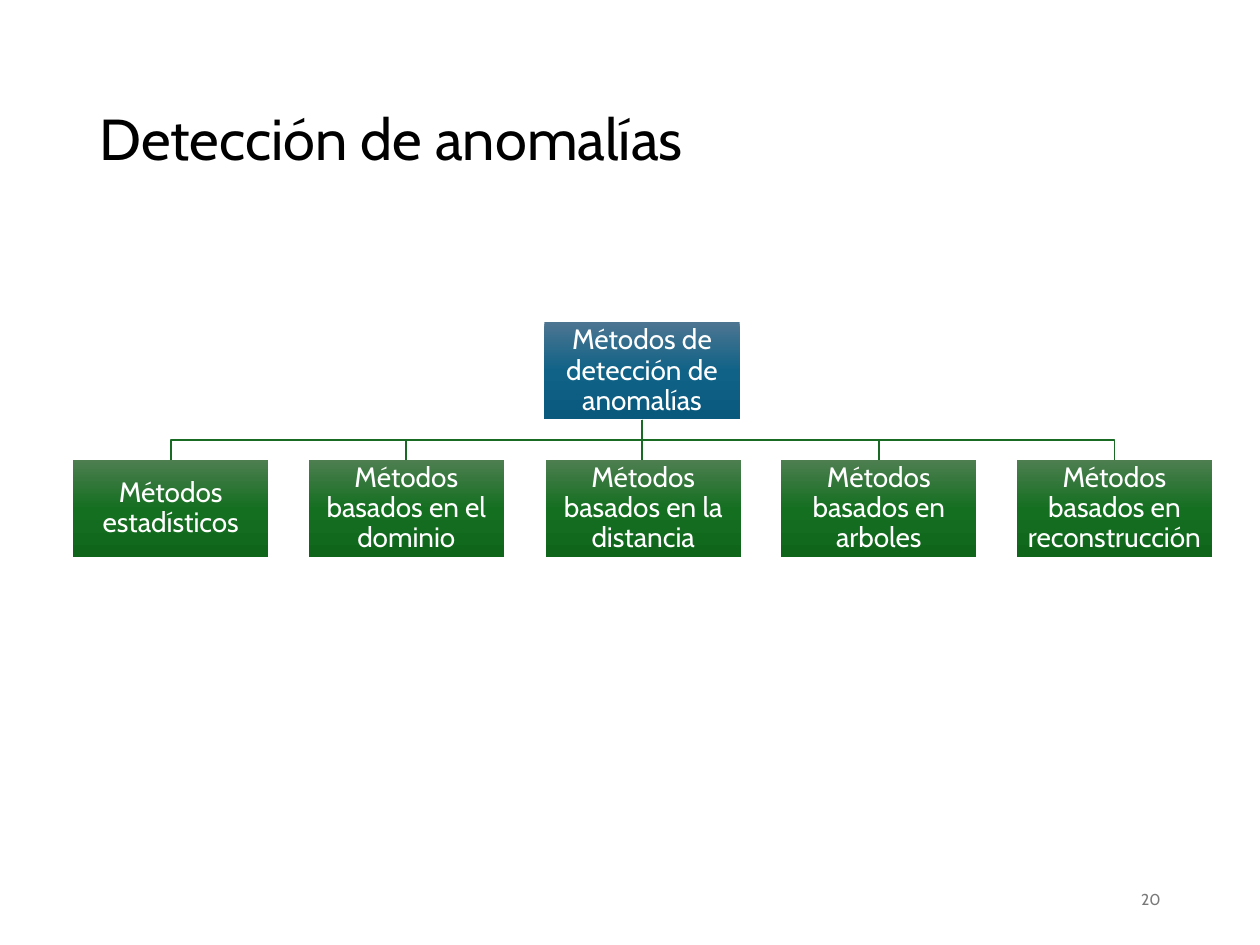
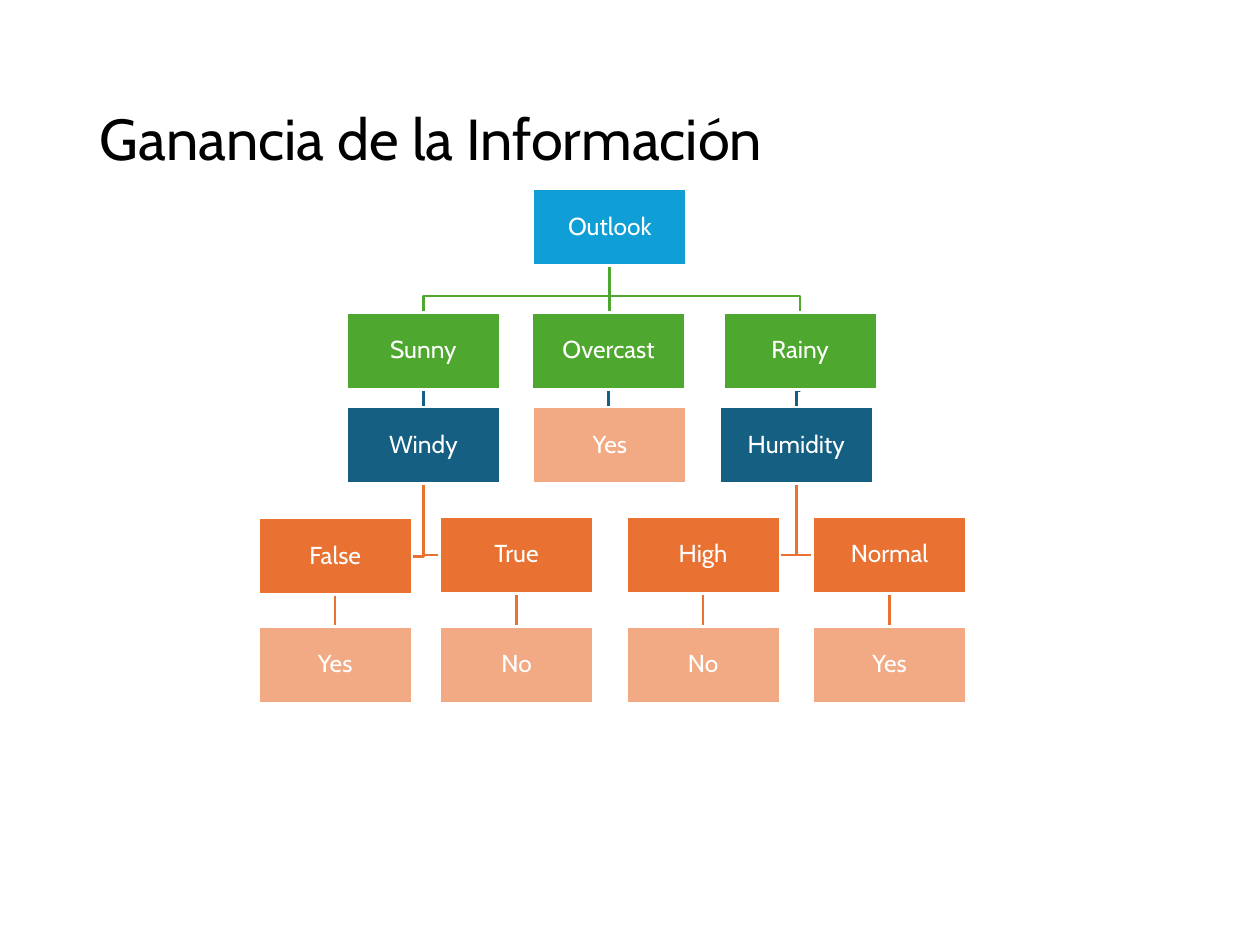
from collections.abc import Iterator
from copy import deepcopy
from dataclasses import dataclass

from lxml import etree
from pptx import Presentation
from pptx.dml.color import RGBColor
from pptx.enum.shapes import MSO_CONNECTOR, MSO_SHAPE
from pptx.enum.text import MSO_ANCHOR, MSO_AUTO_SIZE, PP_ALIGN
from pptx.oxml.ns import qn
from pptx.shapes.autoshape import Shape
from pptx.slide import Slide
from pptx.text.text import TextFrame
from pptx.util import Inches, Pt

STRAIGHT = MSO_CONNECTOR.STRAIGHT
RECTANGLE = MSO_SHAPE.RECTANGLE
MIDDLE = MSO_ANCHOR.MIDDLE
NO_AUTOFIT = MSO_AUTO_SIZE.NONE
LEFT, CENTER, RIGHT = PP_ALIGN.LEFT, PP_ALIGN.CENTER, PP_ALIGN.RIGHT

FONT = "Cabin"
BLACK = RGBColor(0x00, 0x00, 0x00)
WHITE = RGBColor(0xFF, 0xFF, 0xFF)
GRAY = RGBColor(0x79, 0x79, 0x79)
SKY = RGBColor(0x0F, 0x9E, 0xD5)
GREEN = RGBColor(0x4E, 0xA7, 0x2E)
TEAL = RGBColor(0x15, 0x60, 0x82)
ORANGE = RGBColor(0xE9, 0x71, 0x32)
PEACH = RGBColor(0xF2, 0xAA, 0x84)
DARK_GREEN = RGBColor(0x19, 0x6B, 0x24)
BLUE_GRADIENT = (
    RGBColor(0x4C, 0x75, 0x91),
    RGBColor(0x10, 0x62, 0x87),
    RGBColor(0x09, 0x59, 0x7D),
)
GREEN_GRADIENT = (
    RGBColor(0x4D, 0x7E, 0x50),
    RGBColor(0x15, 0x6F, 0x21),
    RGBColor(0x0F, 0x66, 0x1B),
)

TITLE_ONLY_LAYOUT = 5
STRAIGHT_TOLERANCE = 0.02

Fill = RGBColor | tuple[RGBColor, ...]
Point = tuple[float, float]


@dataclass(frozen=True)
class TreeStyle:
    box_width: float
    box_height: float
    font_size: float
    line_width: float
    bend_above_child: float
    border: RGBColor | None = None


@dataclass(frozen=True)
class Node:
    label: str
    left: float
    top: float
    fill: Fill
    link_color: RGBColor = ORANGE
    children: tuple["Node", ...] = ()
    side_links: bool = False


METHODS_STYLE = TreeStyle(1.55, 0.77, 16, 1, 0.16)
WEATHER_STYLE = TreeStyle(1.22, 0.61, 14, 1.5, 0.13, WHITE)

METHOD_LABELS = (
    "Métodos estadísticos",
    "Métodos basados en el dominio",
    "Métodos basados en la distancia",
    "Métodos basados en arboles",
    "Métodos basados en reconstrucción",
)
METHODS_LEFT, METHODS_STEP, METHODS_TOP = 0.58, 1.873, 3.65

METHODS_TREE = Node(
    "Métodos de detección de anomalías", 4.32, 2.56, BLUE_GRADIENT, DARK_GREEN,
    tuple(
        Node(label, round(METHODS_LEFT + index * METHODS_STEP, 2), METHODS_TOP, GREEN_GRADIENT)
        for index, label in enumerate(METHOD_LABELS)
    ),
)


def tested_value(label: str, left: float, answer: str, top: float = 4.1) -> Node:
    return Node(label, left, top, ORANGE, children=(Node(answer, left, 4.97, PEACH),))


WINDY = Node(
    "Windy", 2.75, 3.23, TEAL, side_links=True,
    children=(tested_value("False", 2.05, "Yes", 4.11), tested_value("True", 3.49, "No")),
)
HUMIDITY = Node(
    "Humidity", 5.71, 3.23, TEAL, side_links=True,
    children=(tested_value("High", 4.97, "No"), tested_value("Normal", 6.45, "Yes")),
)
WEATHER_TREE = Node(
    "Outlook", 4.23, 1.5, SKY, GREEN,
    (
        Node("Sunny", 2.75, 2.48, GREEN, TEAL, (WINDY,)),
        Node("Overcast", 4.22, 2.48, GREEN, TEAL, (Node("Yes", 4.23, 3.23, PEACH),)),
        Node("Rainy", 5.74, 2.48, GREEN, TEAL, (HUMIDITY,)),
    ),
)


def format_text(
    text_frame: TextFrame, text: str, size: float, color: RGBColor, alignment: PP_ALIGN
) -> None:
    text_frame.text = text
    text_frame.word_wrap = True
    text_frame.auto_size = NO_AUTOFIT
    text_frame.vertical_anchor = MIDDLE
    paragraph = text_frame.paragraphs[0]
    paragraph.alignment = alignment
    paragraph.line_spacing = 0.9
    for run in paragraph.runs:
        run.font.name = FONT
        run.font.size = Pt(size)
        run.font.color.rgb = color


def add_titled_slide(presentation: Presentation, title_text: str) -> Slide:
    slide = presentation.slides.add_slide(presentation.slide_layouts[TITLE_ONLY_LAYOUT])
    title = slide.shapes.title
    title.left, title.top = Inches(0.69), Inches(0.4)
    title.width, title.height = Inches(8.62), Inches(1.45)
    format_text(title.text_frame, title_text, 33, BLACK, LEFT)
    return slide


def add_page_number(slide: Slide, number: str) -> None:
    text_box = slide.shapes.add_textbox(Inches(7.06), Inches(6.95), Inches(2.25), Inches(0.4))
    format_text(text_box.text_frame, number, 9, GRAY, RIGHT)


def paint(shape: Shape, fill: Fill) -> None:
    if isinstance(fill, RGBColor):
        shape.fill.solid()
        shape.fill.fore_color.rgb = fill
        return
    shape.fill.gradient()
    shape.fill.gradient_angle = 270
    stop_list = shape.element.spPr.find(qn("a:gradFill")).find(qn("a:gsLst"))
    stop_list.insert(1, deepcopy(stop_list[0]))
    for index, (stop, color) in enumerate(zip(shape.fill.gradient_stops, fill)):
        stop.color.rgb = color
        stop.position = index / (len(fill) - 1)


def add_box(slide: Slide, node: Node, style: TreeStyle) -> None:
    box = slide.shapes.add_shape(
        RECTANGLE, Inches(node.left), Inches(node.top),
        Inches(style.box_width), Inches(style.box_height),
    )
    box.shadow.inherit = False
    paint(box, node.fill)
    if style.border is None:
        box.line.fill.background()
    else:
        box.line.color.rgb = style.border
        box.line.width = Pt(style.line_width)
    text_frame = box.text_frame
    text_frame.margin_left = text_frame.margin_right = Inches(0.01)
    text_frame.margin_top = text_frame.margin_bottom = Inches(0.01)
    format_text(text_frame, node.label, style.font_size, WHITE, CENTER)


def link_points(parent: Node, child: Node, style: TreeStyle) -> list[Point]:
    start_x = parent.left + style.box_width / 2
    start_y = parent.top + style.box_height
    end_x = child.left + style.box_width / 2
    if parent.side_links:
        side_x = child.left if end_x > start_x else child.left + style.box_width
        side_y = child.top + style.box_height / 2
        return [(start_x, start_y), (start_x, side_y), (side_x, side_y)]
    if abs(end_x - start_x) < STRAIGHT_TOLERANCE:
        return [(start_x, start_y), (start_x, child.top)]
    bend_y = child.top - style.bend_above_child
    return [(start_x, start_y), (start_x, bend_y), (end_x, bend_y), (end_x, child.top)]


def add_link(slide: Slide, parent: Node, child: Node, style: TreeStyle) -> None:
    points = [(Inches(x), Inches(y)) for x, y in link_points(parent, child, style)]
    if len(points) == 2:
        link = slide.shapes.add_connector(STRAIGHT, *points[0], *points[1])
        etree.SubElement(link.element.spPr, qn("a:effectLst"))
    else:
        builder = slide.shapes.build_freeform(*points[0])
        builder.add_line_segments(points[1:], close=False)
        link = builder.convert_to_shape()
        link.fill.background()
        link.shadow.inherit = False
    link.line.color.rgb = parent.link_color
    link.line.width = Pt(style.line_width)


def walk(node: Node) -> Iterator[Node]:
    yield node
    for child in node.children:
        yield from walk(child)


def add_tree(slide: Slide, root: Node, style: TreeStyle) -> None:
    nodes = list(walk(root))
    for parent in nodes:
        for child in parent.children:
            add_link(slide, parent, child, style)
    for node in nodes:
        add_box(slide, node, style)


def main() -> None:
    presentation = Presentation()
    presentation.slide_width = Inches(10)
    presentation.slide_height = Inches(7.5)

    methods_slide = add_titled_slide(presentation, "Detección de anomalías")
    add_page_number(methods_slide, "20")
    add_tree(methods_slide, METHODS_TREE, METHODS_STYLE)

    weather_slide = add_titled_slide(presentation, "Ganancia de la Información")
    add_tree(weather_slide, WEATHER_TREE, WEATHER_STYLE)

    presentation.save("out.pptx")


if __name__ == "__main__":
    main()
